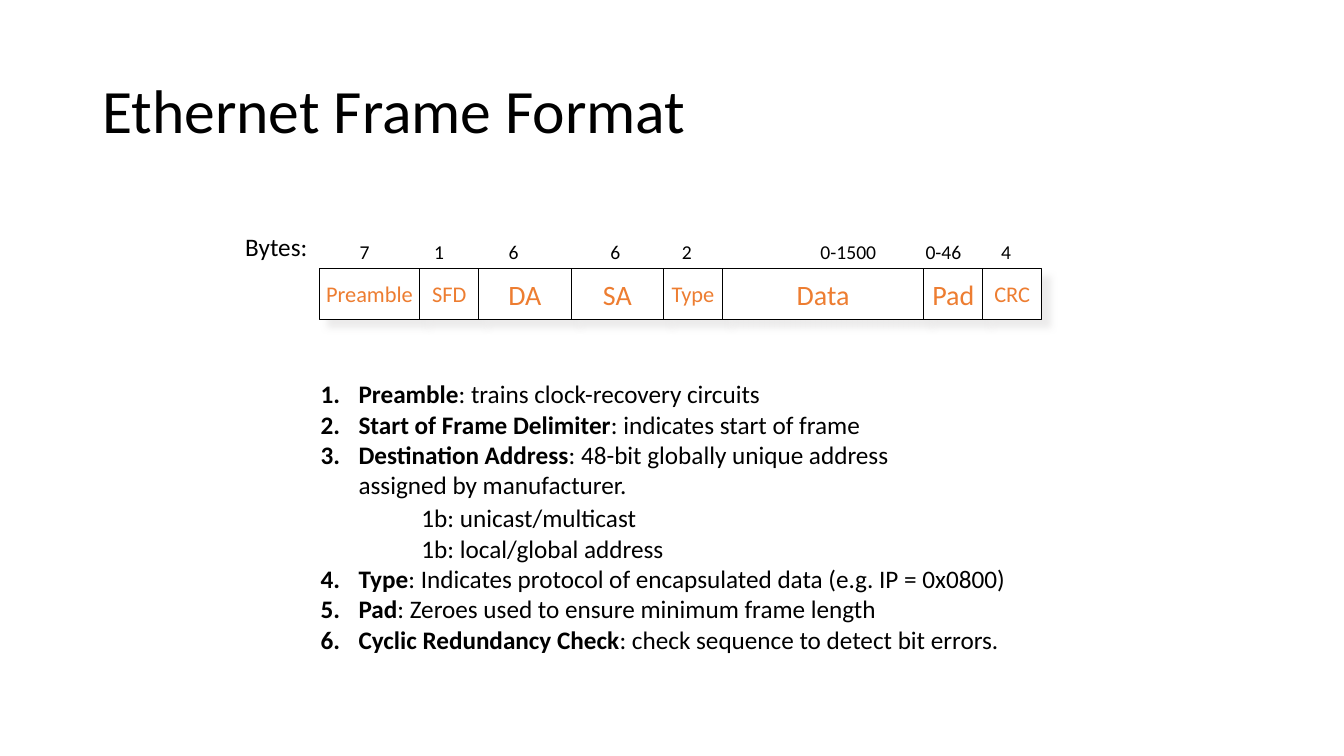
from lxml.etree import SubElement
from pptx import Presentation
from pptx.dml.color import RGBColor
from pptx.enum.shapes import MSO_SHAPE
from pptx.enum.text import MSO_ANCHOR, MSO_AUTO_SIZE, PP_ALIGN
from pptx.oxml.ns import qn
from pptx.util import Pt

PX = 9525  # 96 px to the inch
THEME = {
    "font": "Calibri",
    "ink": RGBColor.from_string("000000"),
    "paper": RGBColor.from_string("FFFFFF"),
    "accent": RGBColor.from_string("ED7D31"),
    "shade": RGBColor.from_string("E7E6E6"),
    "title": 44, "large": 20, "body": 18, "field": 16, "bytes": 14,
}

TITLE = "Ethernet Frame Format"
BYTES_LABEL = "Bytes:"
# field name, field width, type size, byte count, byte count left, byte count width
FIELDS = [
    ("Preamble", 96, "field", "7", 333, 34),
    ("SFD", 56, "field", "1", 404, 34),
    ("DA", 88, "large", "6", 475, 34),
    ("SA", 88, "large", "6", 572, 34),
    ("Type", 56, "field", "2", 640, 34),
    ("Data", 192, "large", "0-1500", 772, 78),
    ("Pad", 56, "large", "0-46", 872, 59),
    ("CRC", 56, "field", "4", 944, 34),
]
# term, explanation lines, indented lines
NOTES = [
    ("Preamble", ["trains clock-recovery circuits"], []),
    ("Start of Frame Delimiter", ["indicates start of frame"], []),
    ("Destination Address",
     ["48-bit globally unique address", "assigned by manufacturer."],
     ["1b: unicast/multicast", "1b: local/global address"]),
    ("Type", ["Indicates protocol of encapsulated data (e.g. IP = 0x0800)"], []),
    ("Pad", ["Zeroes used to ensure minimum frame length"], []),
    ("Cyclic Redundancy Check", ["check sequence to detect bit errors."], []),
]
FRAME_LEFT, FRAME_TOP, FRAME_HEIGHT = 304, 256, 48
BYTES_TOP, BYTES_HEIGHT = 224, 33
NUMBER_INDENT, TAB_WIDTH = 36, 96


def px(*lengths):
    return [length * PX for length in lengths]


def add_run(paragraph, text, size, color="ink", bold=False):
    run = paragraph.add_run()
    run.text = text
    formats = {"name": THEME["font"], "size": Pt(THEME[size]), "bold": bold}
    for attribute, value in formats.items():
        setattr(run.font, attribute, value)
    run.font.color.rgb = THEME[color]


def add_label(slide, box, text, size, **frame_formats):
    """Add a text box; an empty text leaves its first paragraph to the caller."""
    frame = slide.shapes.add_textbox(*px(*box)).text_frame
    formats = {"word_wrap": False, "auto_size": MSO_AUTO_SIZE.SHAPE_TO_FIT_TEXT}
    for attribute, value in {**formats, **frame_formats}.items():
        setattr(frame, attribute, value)
    if text:
        add_run(frame.paragraphs[0], text, size)
    return frame


def add_shadow(shape):
    shape.shadow.inherit = False
    effects = shape._element.spPr.find(qn("a:effectLst"))
    outer = SubElement(effects, qn("a:outerShdw"), blurRad=str(Pt(5)),
                       dist=str(Pt(8.5)), dir="2700000", algn="ctr", rotWithShape="0")
    color = SubElement(outer, qn("a:srgbClr"), val=str(THEME["shade"]))
    SubElement(color, qn("a:alpha"), val="75000")


def add_field(slide, left, width, name, size):
    field = slide.shapes.add_shape(
        MSO_SHAPE.RECTANGLE, *px(left, FRAME_TOP, width, FRAME_HEIGHT))
    field.fill.solid()
    field.fill.fore_color.rgb = THEME["paper"]
    field.line.color.rgb = THEME["ink"]
    field.line.width = Pt(0.75)
    add_shadow(field)
    frame = field.text_frame
    frame.word_wrap = False
    frame.vertical_anchor = MSO_ANCHOR.MIDDLE
    frame.paragraphs[0].alignment = PP_ALIGN.CENTER
    add_run(frame.paragraphs[0], name, size, "accent")


def add_notes(slide):
    frame = add_label(slide, (296, 356, 690, 275), "", "body")
    indents = {"marL": NUMBER_INDENT, "indent": -NUMBER_INDENT, "defTabSz": TAB_WIDTH}
    for index, (term, lines, details) in enumerate(NOTES):
        paragraph = frame.add_paragraph() if index else frame.paragraphs[0]
        properties = paragraph._p.get_or_add_pPr()
        for attribute, length in indents.items():
            properties.set(attribute, str(length * PX))
        SubElement(properties, qn("a:buFont"), typeface="+mj-lt")
        SubElement(properties, qn("a:buAutoNum"), type="arabicPeriod")
        add_run(paragraph, term, "body", bold=True)
        add_run(paragraph, ": " + lines[0], "body")
        for line in lines[1:]:
            paragraph.add_line_break()
            add_run(paragraph, line, "body")
        for order, detail in enumerate(details):
            paragraph.add_line_break()
            add_run(paragraph, "\t", "body" if order else "large")
            add_run(paragraph, detail, "body")


def main():
    deck = Presentation()
    deck.slide_width, deck.slide_height = px(1280, 720)
    slide = deck.slides.add_slide(deck.slide_layouts[6])

    title = add_label(slide, (88, 39, 1104, 139), TITLE, "title", word_wrap=True,
                      auto_size=MSO_AUTO_SIZE.NONE, vertical_anchor=MSO_ANCHOR.MIDDLE)
    title.paragraphs[0].line_spacing = 0.9

    left = FRAME_LEFT
    for name, width, size, count, count_left, count_width in FIELDS:
        add_field(slide, left, width, name, size)
        add_label(slide, (count_left, BYTES_TOP, count_width, BYTES_HEIGHT), count, "bytes")
        left += width

    add_notes(slide)
    add_label(slide, (224, 216, 84, 38), BYTES_LABEL, "body")
    deck.save("out.pptx")


if __name__ == "__main__":
    main()
